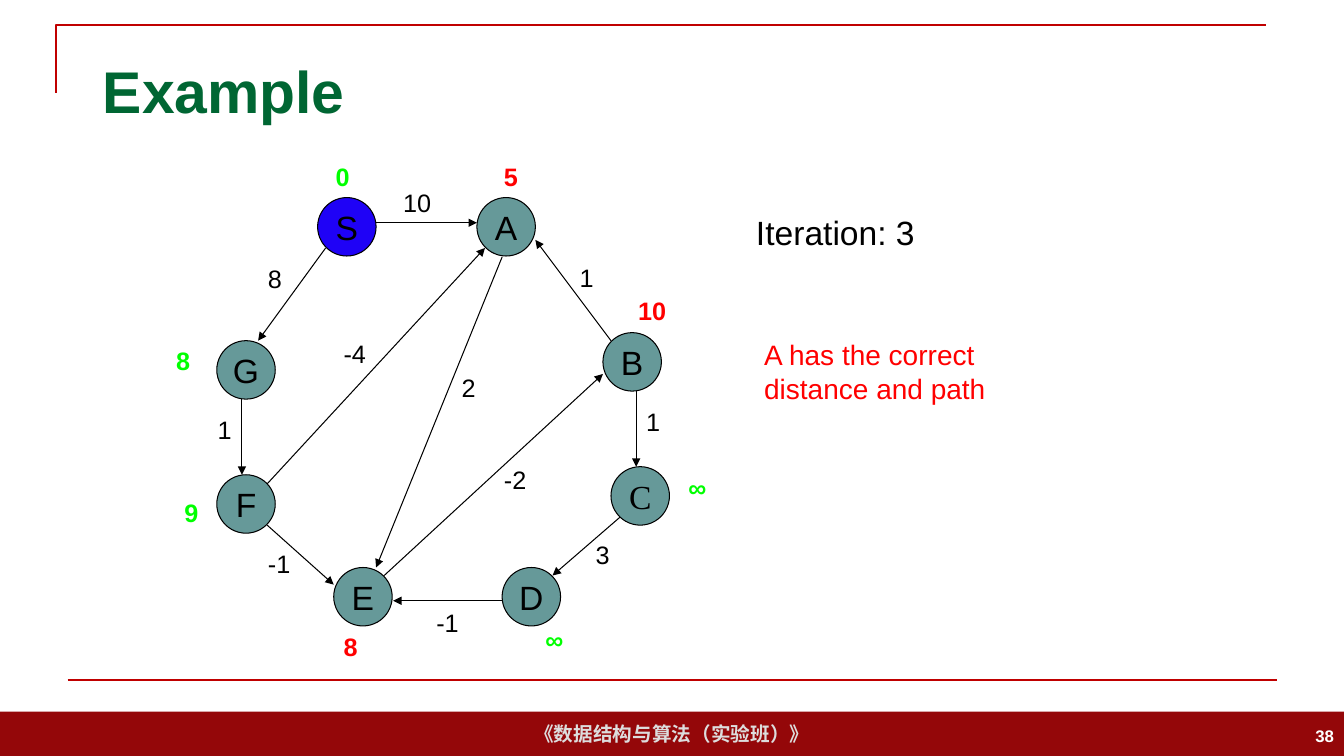
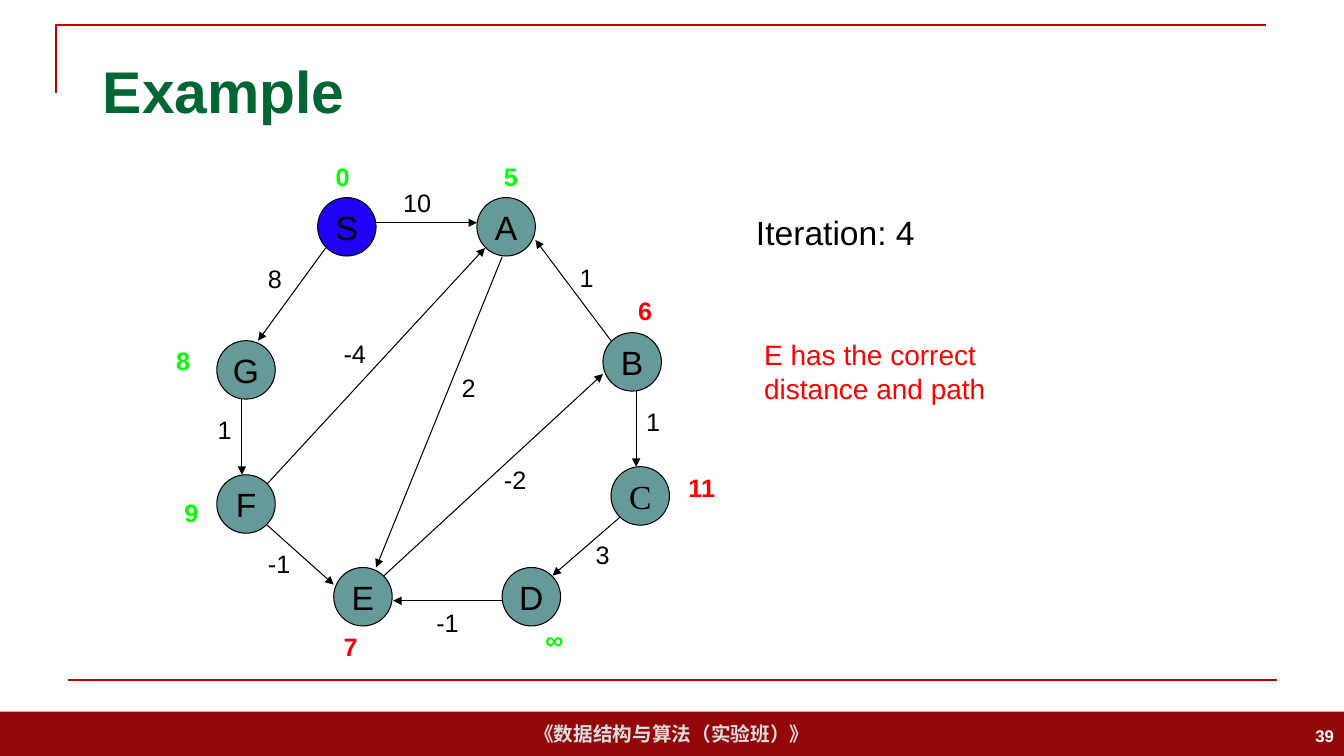
from lxml import etree
from pptx import Presentation
from pptx.dml.color import RGBColor
from pptx.enum.shapes import MSO_CONNECTOR, MSO_SHAPE
from pptx.enum.text import MSO_ANCHOR, MSO_AUTO_SIZE, PP_ALIGN
from pptx.oxml.ns import qn
from pptx.util import Pt

PX = 9144  # 100 px to the inch
WIDE, HIGH = 1333, 750
LINE = MSO_CONNECTOR.STRAIGHT
OVAL, RECT = MSO_SHAPE.OVAL, MSO_SHAPE.RECTANGLE
LEFT, MID, RIGHT = PP_ALIGN.LEFT, PP_ALIGN.CENTER, PP_ALIGN.RIGHT
TOP, CORE = MSO_ANCHOR.TOP, MSO_ANCHOR.MIDDLE
FIXED = MSO_AUTO_SIZE.NONE

COLORS = {
    "band": "940709", "rule": "C00000", "title": "006633",
    "foot": "DDDDDD", "white": "FFFFFF", "black": "000000",
    "node": "669999", "start": "1F02F6",
    "old": "00FF00", "new": "FF0000",
}

DISC = 58
NODES = {
    "G": (215, 338), "S": (315, 196), "F": (215, 471), "E": (331, 563),
    "A": (473, 196), "D": (498, 563), "B": (598, 330), "C": (606, 463),
}
# from, to, weight, place of the weight
EDGES = [
    ((373, 221), (473, 221), "10", (390, 181)),
    ((606, 338), (531, 238), "1", (565, 255)),
    ((631, 388), (631, 463), "1", (631, 398)),
    ((615, 513), (548, 571), "3", (581, 530)),
    ((498, 596), (390, 596), "-1", (423, 598)),
    ((265, 521), (331, 580), "-1", (256, 539)),
    ((240, 396), (240, 471), "1", (206, 406)),
    ((323, 246), (256, 338), "8", (256, 256)),
    ((265, 480), (481, 246), "-4", (331, 331)),
    ((498, 255), (373, 563), "2", (448, 364)),
    ((381, 571), (598, 371), "-2", (490, 456)),
]
COSTS = {
    "S": (323, 155), "A": (490, 155), "B": (623, 288), "C": (673, 464),
    "D": (531, 614), "E": (331, 621), "F": (173, 488), "G": (165, 338),
}
# page, round, settled node, cost of each node, nodes with a new cost
STEPS = [
    (38, 3, "A", dict(S="0", A="5", B="10", C="∞", D="∞", E="8", F="9", G="8"), "ABE"),
    (39, 4, "E", dict(S="0", A="5", B="6", C="11", D="∞", E="7", F="9", G="8"), "BCE"),
]


def rgb(name):
    return RGBColor.from_string(COLORS[name])


def px(*nums):
    return [num * PX for num in nums]


def write(shape, text, size=18, color="black", bold=False, font="Arial",
          align=LEFT, anchor=TOP, wrap=True):
    """Fill a shape with one formatted paragraph."""
    frame = shape.text_frame
    frame.auto_size = FIXED
    frame.word_wrap = wrap
    frame.vertical_anchor = anchor
    para = frame.paragraphs[0]
    para.alignment = align
    run = para.add_run()
    run.text = text
    run.font.size = Pt(size)
    run.font.name = font
    run.font.bold = bold
    run.font.color.rgb = rgb(color)


def label(slide, text, x, y, w=50, h=40, **style):
    write(slide.shapes.add_textbox(*px(x, y, w, h)), text, **style)


def line(slide, start, end, color="black", width=0.75, arrow=False):
    link = slide.shapes.add_connector(LINE, *px(*start, *end))
    link.line.color.rgb = rgb(color)
    link.line.width = Pt(width)
    if arrow:
        stroke = link.line._get_or_add_ln()
        etree.SubElement(stroke, qn("a:tailEnd"), type="triangle")
    etree.SubElement(link.element.spPr, qn("a:effectLst"))


def solid(slide, kind, box, color):
    shape = slide.shapes.add_shape(kind, *px(*box))
    shape.shadow.inherit = False
    shape.fill.solid()
    shape.fill.fore_color.rgb = rgb(color)
    shape.line.fill.background()
    return shape


def corner(slide):
    """Draw the open rule at the top left."""
    pen = slide.shapes.build_freeform(56, 92, scale=PX)
    pen.add_line_segments([(56, 25), (1256, 25)], close=False)
    shape = pen.convert_to_shape()
    shape.shadow.inherit = False
    shape.fill.background()
    shape.line.color.rgb = rgb("rule")
    shape.line.width = Pt(1.5)


def base(deck, page, head):
    """Add a slide with its title, rules and footer."""
    slide = deck.slides.add_slide(deck.slide_layouts[5])
    title = slide.shapes.title
    title.left, title.top, title.width, title.height = px(92, 40, 1150, 99)
    write(title, head, size=42, color="title", bold=True, anchor=CORE)
    band = solid(slide, RECT, (0, 706, WIDE, 44), "band")
    write(band, "《数据结构与算法（实验班）》", size=14, color="foot", bold=True,
          align=MID, anchor=CORE, wrap=False)
    corner(slide)
    line(slide, (67, 675), (1267, 675), "rule", 1.5)
    label(slide, str(page), 1033, 710, 300, 40, size=12, color="white",
          bold=True, align=RIGHT, anchor=CORE)
    return slide


def node(slide, name, x, y):
    disc = solid(slide, OVAL, (x, y, DISC, DISC),
                 "start" if name == "S" else "node")
    disc.line.color.rgb = rgb("black")
    disc.line.width = Pt(0.75)
    frame = disc.text_frame
    frame.margin_left = frame.margin_right = 0
    frame.margin_top = frame.margin_bottom = 0
    write(disc, name, size=24, align=MID, anchor=CORE, wrap=False,
          font="Times New Roman" if name == "C" else "Arial")


def graph(slide, costs, fresh):
    for name, spot in NODES.items():
        node(slide, name, *spot)
    for start, end, weight, spot in EDGES:
        line(slide, start, end, arrow=True)
        label(slide, weight, *spot, anchor=CORE)
    for name, spot in COSTS.items():
        label(slide, costs[name], *spot, bold=True, anchor=CORE,
              color="new" if name in fresh else "old")


def main():
    deck = Presentation()
    deck.slide_width, deck.slide_height = px(WIDE, HIGH)
    for page, turn, done, costs, fresh in STEPS:
        slide = base(deck, page, "Example")
        graph(slide, costs, fresh)
        label(slide, f"Iteration: {turn}", 740, 205, 233, 50, size=24,
              anchor=CORE)
        label(slide, f"{done} has the correct distance and path",
              748, 330, 242, 77, size=20, color="new", anchor=CORE)
    deck.save("out.pptx")


if __name__ == "__main__":
    main()
